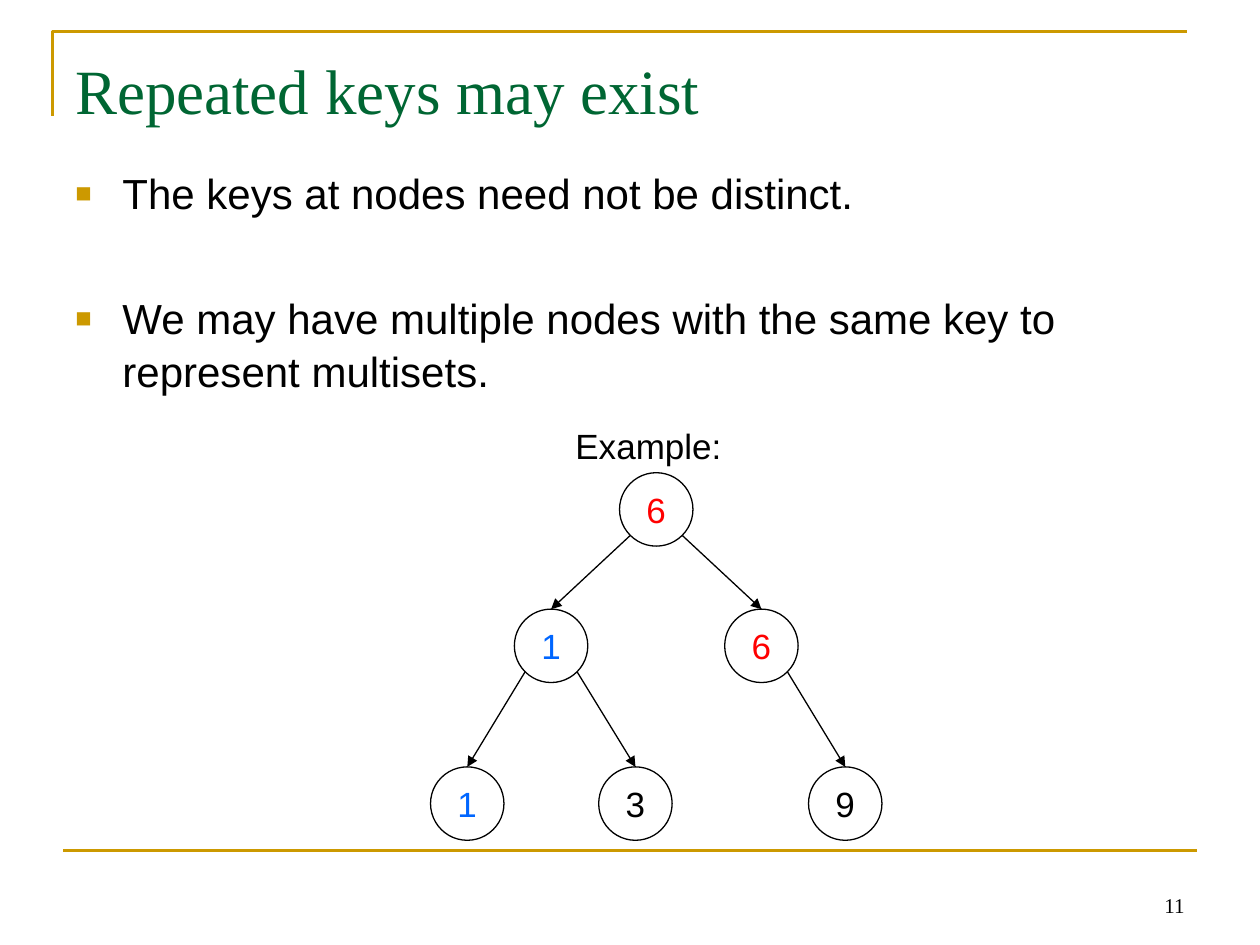
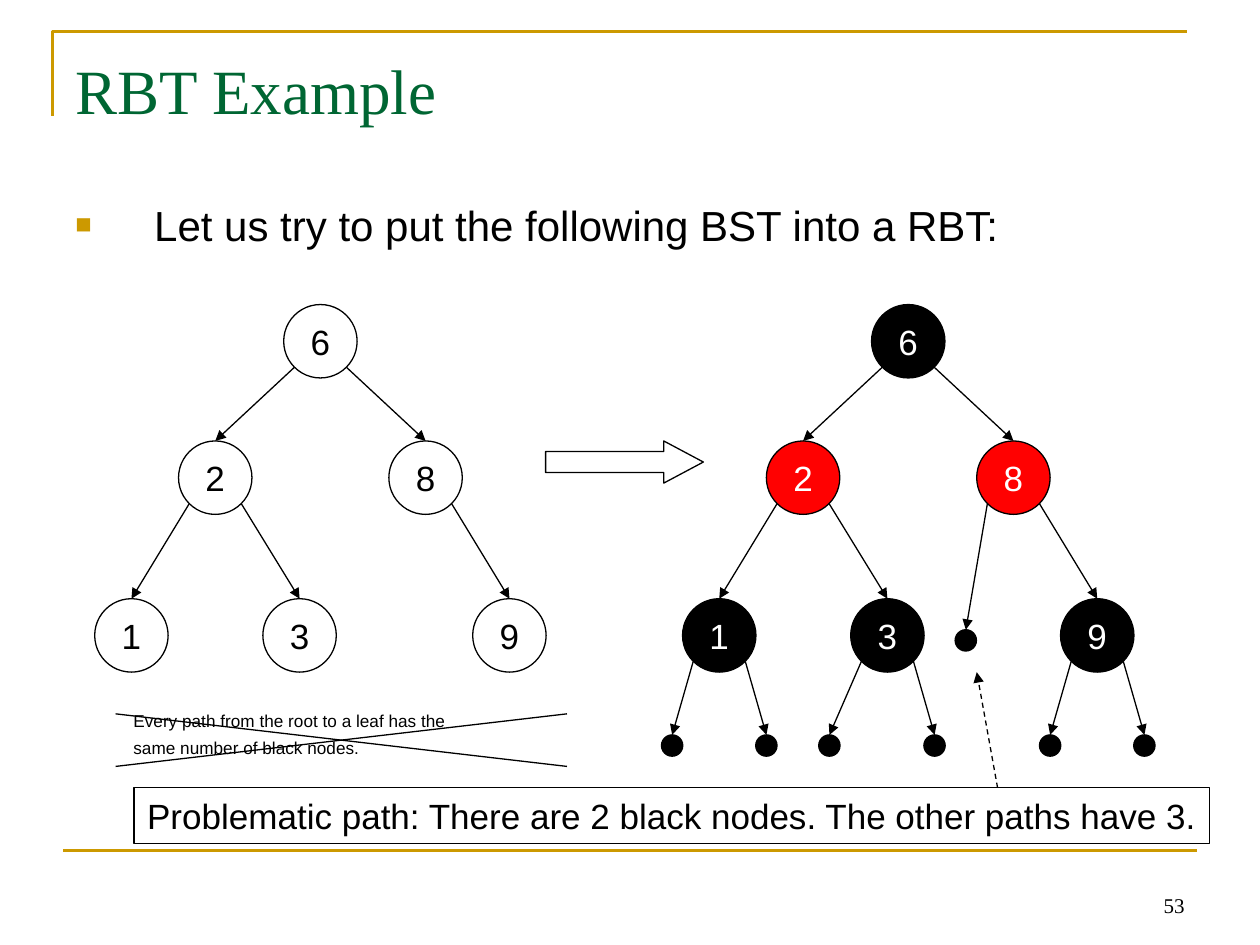
from dataclasses import dataclass

from lxml.etree import SubElement
from pptx import Presentation
from pptx.dml.color import RGBColor
from pptx.enum.dml import MSO_LINE
from pptx.enum.shapes import MSO_CONNECTOR, MSO_SHAPE
from pptx.enum.text import MSO_ANCHOR, PP_ALIGN
from pptx.oxml.ns import qn
from pptx.util import Cm, Pt


@dataclass(frozen=True)
class Theme:
    black: str = "000000"
    white: str = "FFFFFF"
    gold: str = "CC9900"
    green: str = "006633"
    key_red: str = "FF0000"
    key_blue: str = "0066FF"
    node_red: str = "FF0101"
    sans: str = "Arial"
    serif: str = "Times New Roman"
    title: float = 36
    body: float = 24
    label: float = 20
    number: float = 12
    small: float = 9.8
    rule: float = 1.5
    thin: float = 0.75


T = Theme()


def write(tf, lines, size, color=T.black, font=T.sans, align=PP_ALIGN.LEFT,
          wrap=True, anchor=MSO_ANCHOR.TOP, gap=0, spacing=None, bullet=0):
    """Fill a text frame; gap is the space between paragraphs in points,
    bullet the hanging indent in cm (0 for no bullet)."""
    tf.word_wrap, tf.vertical_anchor = wrap, anchor
    for i, line in enumerate(lines):
        p = tf.paragraphs[0] if i == 0 else tf.add_paragraph()
        if bullet:
            pPr = p._p.get_or_add_pPr()
            pPr.set("marL", str(Cm(bullet)))
            pPr.set("indent", str(-Cm(bullet)))
            SubElement(SubElement(pPr, qn("a:buClr")), qn("a:srgbClr"), val=T.gold)
            SubElement(pPr, qn("a:buSzPct"), val="65000")
            SubElement(pPr, qn("a:buFont"), typeface=T.sans)
            SubElement(pPr, qn("a:buChar"), char="■")
        fmt = {"alignment": align, "line_spacing": spacing,
               "space_before": Pt(gap if i else 0)}
        for name, value in fmt.items():
            setattr(p, name, value)
        r = p.add_run()
        r.text = line
        for name, value in {"name": font, "size": Pt(size)}.items():
            setattr(r.font, name, value)
        r.font.color.rgb = RGBColor.from_string(color)


def add_line(s, start, end, color=T.black, width=T.thin, arrow=True, dash=None):
    cn = s.shapes.add_connector(MSO_CONNECTOR.STRAIGHT, *map(Cm, start + end))
    cn.line.color.rgb = RGBColor.from_string(color)
    cn.line.width = Pt(width)
    if dash:
        cn.line.dash_style = dash
    if arrow:
        SubElement(cn.line._get_or_add_ln(), qn("a:tailEnd"), type="triangle")
    SubElement(cn._element.spPr, qn("a:effectLst"))


prs = Presentation()
prs.slide_width, prs.slide_height = Cm(25.4), Cm(19.05)

# Frame, title, body and number of every slide: body top and bullet indent in cm
pages = [
    ("Repeated keys may exist", "11", 3.21, 0.95,
     ["The keys at nodes need not be distinct.",
      "We may have multiple nodes with the same key to represent multisets."]),
    ("RBT Example", "53", 3.84, 1.59,
     ["Let us try to put the following BST into a RBT:"]),
]
for title, number, body_top, indent, bullets in pages:
    s = prs.slides.add_slide(prs.slide_layouts[6])
    fb = s.shapes.build_freeform(Cm(1.06), Cm(2.33))
    fb.add_line_segments([(Cm(1.06), Cm(0.64)), (Cm(23.92), Cm(0.64))], close=False)
    corner = fb.convert_to_shape()
    corner.shadow.inherit = False
    corner.fill.background()
    corner.line.color.rgb = RGBColor.from_string(T.gold)
    corner.line.width = Pt(T.rule)
    add_line(s, (1.27, 17.15), (24.13, 17.15), T.gold, T.rule, arrow=False)

    tb = s.shapes.add_textbox(Cm(18.2), Cm(17.35), Cm(5.93), Cm(1.27))
    write(tb.text_frame, [number], T.number, font=T.serif,
          align=PP_ALIGN.RIGHT, anchor=MSO_ANCHOR.BOTTOM)
    tb = s.shapes.add_textbox(Cm(1.27), Cm(0.76), Cm(22.86), Cm(3.18))
    tb.text_frame.margin_top = Cm(0.27)
    write(tb.text_frame, [title], T.title, T.green, T.serif)
    tb = s.shapes.add_textbox(Cm(1.27), Cm(body_top), Cm(22.86), Cm(12.57))
    write(tb.text_frame, bullets, T.body, gap=41, spacing=1.05, bullet=indent)

repeated, rbt = prs.slides

# Trees: node centres relative to the root, and (parent, side, child) edges
NODE, DOT = 1.48, 0.43
CORNER = NODE / 2 * 0.71
offsets = [(0, 0), (-2.12, 2.75), (2.12, 2.75),
           (-3.81, 5.93), (-0.42, 5.93), (3.81, 5.93)]
edges = [(0, -1, 1), (0, 1, 2), (1, -1, 3), (1, 1, 4), (2, 1, 5)]
plain = [None] * 6
key_colors = [T.key_red, T.key_blue, T.key_red, T.key_blue, T.black, T.black]
red_black = [T.black, T.node_red, T.node_red, T.black, T.black, T.black]
trees = [
    (repeated, (13.23, 10.27), "616139", plain, key_colors),
    (rbt, (6.46, 6.88), "628139", plain, [T.black] * 6),
    (rbt, (18.31, 6.88), "628139", red_black, [T.white] * 6),
]
for s, (root_x, root_y), keys, fills, colors in trees:
    centres = [(root_x + dx, root_y + dy) for dx, dy in offsets]
    for (x, y), key, fill, color in zip(centres, keys, fills, colors):
        sp = s.shapes.add_shape(MSO_SHAPE.OVAL, Cm(x - NODE / 2), Cm(y - NODE / 2),
                                Cm(NODE), Cm(NODE))
        sp.shadow.inherit = False
        if fill:
            sp.fill.solid()
            sp.fill.fore_color.rgb = RGBColor.from_string(fill)
        else:
            sp.fill.background()
        sp.line.color.rgb = RGBColor.from_string(T.black)
        sp.line.width = Pt(T.thin)
        write(sp.text_frame, [key], T.label, color, align=PP_ALIGN.CENTER,
              wrap=False, anchor=MSO_ANCHOR.MIDDLE)
    for parent, side, child in edges:
        (px, py), (cx, cy) = centres[parent], centres[child]
        add_line(s, (px + side * CORNER, py + CORNER), (cx, cy - NODE / 2))

tb = repeated.shapes.add_textbox(Cm(11.35), Cm(8.43), Cm(3.45), Cm(1.12))
write(tb.text_frame, ["Example:"], T.label, wrap=False)

# Black leaves under the red-black tree, the last one drawn above
leaves = [(3, -1, 13.55, 15.03), (3, 1, 15.45, 15.03), (4, -1, 16.72, 15.03),
          (4, 1, 18.84, 15.03), (5, -1, 21.17, 15.03), (5, 1, 23.07, 15.03),
          (2, -1, 19.47, 12.91)]
for parent, side, x, y in leaves:
    dot = rbt.shapes.add_shape(MSO_SHAPE.OVAL, Cm(x - DOT / 2), Cm(y - DOT / 2),
                               Cm(DOT), Cm(DOT))
    dot.shadow.inherit = False
    dot.fill.solid()
    dot.fill.fore_color.rgb = RGBColor.from_string(T.black)
    dot.line.color.rgb = RGBColor.from_string(T.black)
    dot.line.width = Pt(T.thin)
    px, py = centres[parent]
    add_line(rbt, (px + side * CORNER, py + CORNER), (x, y - DOT / 2))

# Outlined arrow between the trees and the box naming the problem
arrow = rbt.shapes.add_shape(MSO_SHAPE.RIGHT_ARROW, Cm(11), Cm(8.89), Cm(3.18), Cm(0.85))
arrow.adjustments[1] = 0.94
problem = rbt.shapes.add_shape(MSO_SHAPE.RECTANGLE, Cm(2.7), Cm(15.88), Cm(21.69), Cm(1.12))
for sp in (arrow, problem):
    sp.shadow.inherit = False
    sp.fill.background()
    sp.line.color.rgb = RGBColor.from_string(T.black)
    sp.line.width = Pt(T.thin)
write(problem.text_frame,
      ["Problematic path: There are 2 black nodes. The other paths have 3."],
      T.label, align=PP_ALIGN.CENTER, wrap=False, anchor=MSO_ANCHOR.MIDDLE)
add_line(rbt, (20.11, 15.88), (19.69, 13.55), dash=MSO_LINE.DASH)

# Crossed-out rule
tb = rbt.shapes.add_textbox(Cm(2.44), Cm(14.2), Cm(21.9), Cm(1.27))
write(tb.text_frame,
      ["Every path from the root to a leaf has the", "same number of black nodes."],
      T.small, gap=3.5)
for top, bottom in [(14.39, 15.45), (15.45, 14.39)]:
    add_line(rbt, (2.33, top), (11.43, bottom), arrow=False)

prs.save("out.pptx")
